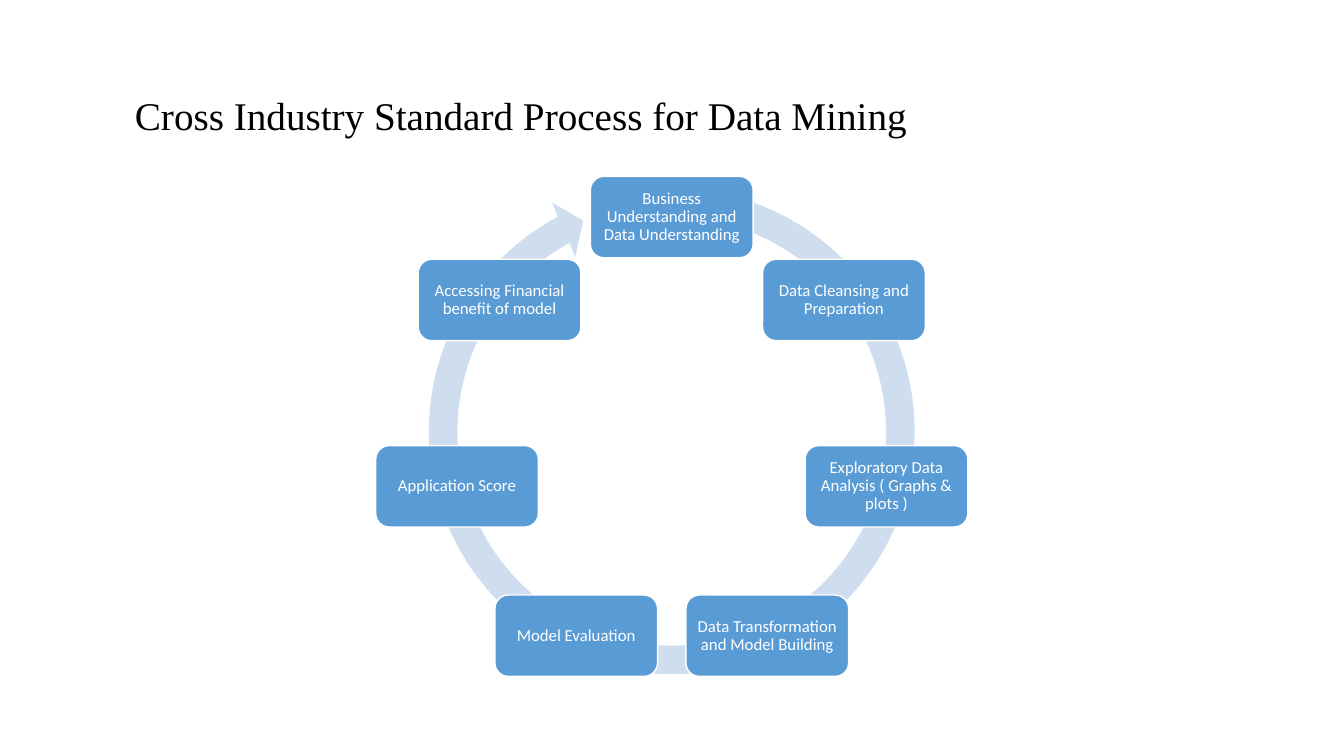
import math

from lxml import etree
from pptx import Presentation
from pptx import util as u
from pptx.dml.color import RGBColor
from pptx.enum import shapes, text
from pptx.oxml import ns

STEPS = [
    "Business Understanding and Data Understanding",
    "Data Cleansing and Preparation",
    "Exploratory Data Analysis ( Graphs & plots )",
    "Data Transformation and Model Building",
    "Model Evaluation",
    "Application Score",
    "Accessing Financial benefit of model",
]
CENTER_X = 16.93


def rgb(value):
    """Turn a hex string into a colour."""
    return RGBColor.from_string(value)


def polar(cx, cy, radius, degrees):
    """Return the point at a clockwise angle from twelve o'clock."""
    angle = math.radians(degrees)
    return cx + radius * math.sin(angle), cy - radius * math.cos(angle)


def arc(c, radius, start, end, count=4):
    """Return Bezier curves along an arc around the point (c, c)."""
    step = (end - start) / count
    bend = math.degrees(math.atan(4 / 3 * math.tan(math.radians(step) / 4)))
    reach = radius / math.cos(math.radians(bend))
    curves = []
    for i in range(count):
        a, b = start + i * step, start + (i + 1) * step
        curves.append(("cubicBezTo", [polar(c, c, reach, a + bend),
                                      polar(c, c, reach, b - bend),
                                      polar(c, c, radius, b)]))
    return curves


def write(sp, content, *, font, size, color, align, inset_x, inset_y):
    """Put formatted, vertically centred text in a shape."""
    tf = sp.text_frame
    tf.word_wrap = True
    tf.vertical_anchor = text.MSO_ANCHOR.MIDDLE
    tf.margin_left = tf.margin_right = u.Cm(inset_x)
    tf.margin_top = tf.margin_bottom = u.Cm(inset_y)
    p = tf.paragraphs[0]
    p.alignment = align
    p.line_spacing = 0.9
    r = p.add_run()
    r.text = content
    r.font.name = font
    r.font.size = u.Pt(size)
    r.font.color.rgb = rgb(color)


class CycleSlide:
    """Hold the style and draw the elements of a cycle slide."""

    box_fill, ring_fill, white, black = "599BD5", "CFDEEF", "FFFFFF", "000000"
    heading_font, body_font = "Times New Roman", "Calibri"
    box_w, box_h = 4.1, 2.05

    def __init__(self, prs):
        """Add a blank slide."""
        self.s = prs.slides.add_slide(prs.slide_layouts[6])

    def title(self, content, x, y, w, h):
        """Add the heading."""
        sp = self.s.shapes.add_textbox(u.Cm(x), u.Cm(y), u.Cm(w), u.Cm(h))
        write(sp, content, font=self.heading_font, size=28, color=self.black,
              align=text.PP_ALIGN.LEFT, inset_x=0.25, inset_y=0.13)

    def ring(self, cx, cy, size, outer, inner, start, end):
        """Add a circular arrow running clockwise in a square frame."""
        c, middle, wing = size / 2, (outer + inner) / 2, 0.74
        head = [(middle + wing, end + 0.4), (middle, end + 5.2),
                (middle - wing, end - 1), (inner, end - 0.5)]
        segments = [("moveTo", [polar(c, c, outer, start)])]
        segments += arc(c, outer, start, end)
        segments += [("lnTo", [polar(c, c, *corner)]) for corner in head]
        segments += arc(c, inner, end - 0.5, start)
        segments.append(("close", []))

        builder = self.s.shapes.build_freeform(0, 0, scale=1)
        builder.add_line_segments([(u.Cm(size), u.Cm(size))])
        sp = builder.convert_to_shape()
        sp.left, sp.top = u.Cm(cx - c), u.Cm(cy - c)
        outline = sp._element.find(".//" + ns.qn("a:path"))
        for node in list(outline):
            outline.remove(node)
        for tag, points in segments:
            node = etree.SubElement(outline, ns.qn("a:" + tag))
            for x, y in points:
                etree.SubElement(node, ns.qn("a:pt"),
                                 x=str(int(u.Cm(x))), y=str(int(u.Cm(y))))
        sp.shadow.inherit = False
        sp.fill.solid()
        sp.fill.fore_color.rgb = rgb(self.ring_fill)
        sp.line.fill.background()

    def box(self, content, cx, cy):
        """Add a rounded step box around a centre point."""
        sp = self.s.shapes.add_shape(
            shapes.MSO_SHAPE.ROUNDED_RECTANGLE,
            u.Cm(cx - self.box_w / 2), u.Cm(cy - self.box_h / 2),
            u.Cm(self.box_w), u.Cm(self.box_h))
        sp.shadow.inherit = False
        sp.fill.solid()
        sp.fill.fore_color.rgb = rgb(self.box_fill)
        sp.line.color.rgb = rgb(self.white)
        sp.line.width = u.Pt(1)
        write(sp, content, font=self.body_font, size=12, color=self.white,
              align=text.PP_ALIGN.CENTER, inset_x=0.13, inset_y=0.13)


def main():
    """Build and save the slide."""
    prs = Presentation()
    prs.slide_width, prs.slide_height = u.Cm(33.87), u.Cm(19.05)
    slide = CycleSlide(prs)
    slide.title("Cross Industry Standard Process for Data Mining",
                3.15, 1.78, 25.88, 2.39)
    slide.ring(CENTER_X, 10.87, 13.03, outer=6.12, inner=5.4,
               start=12.55, end=332)
    for i, step in enumerate(STEPS):
        slide.box(step, *polar(CENTER_X, 11.02, 5.55, i * 360 / len(STEPS)))
    prs.save("out.pptx")


if __name__ == "__main__":
    main()
